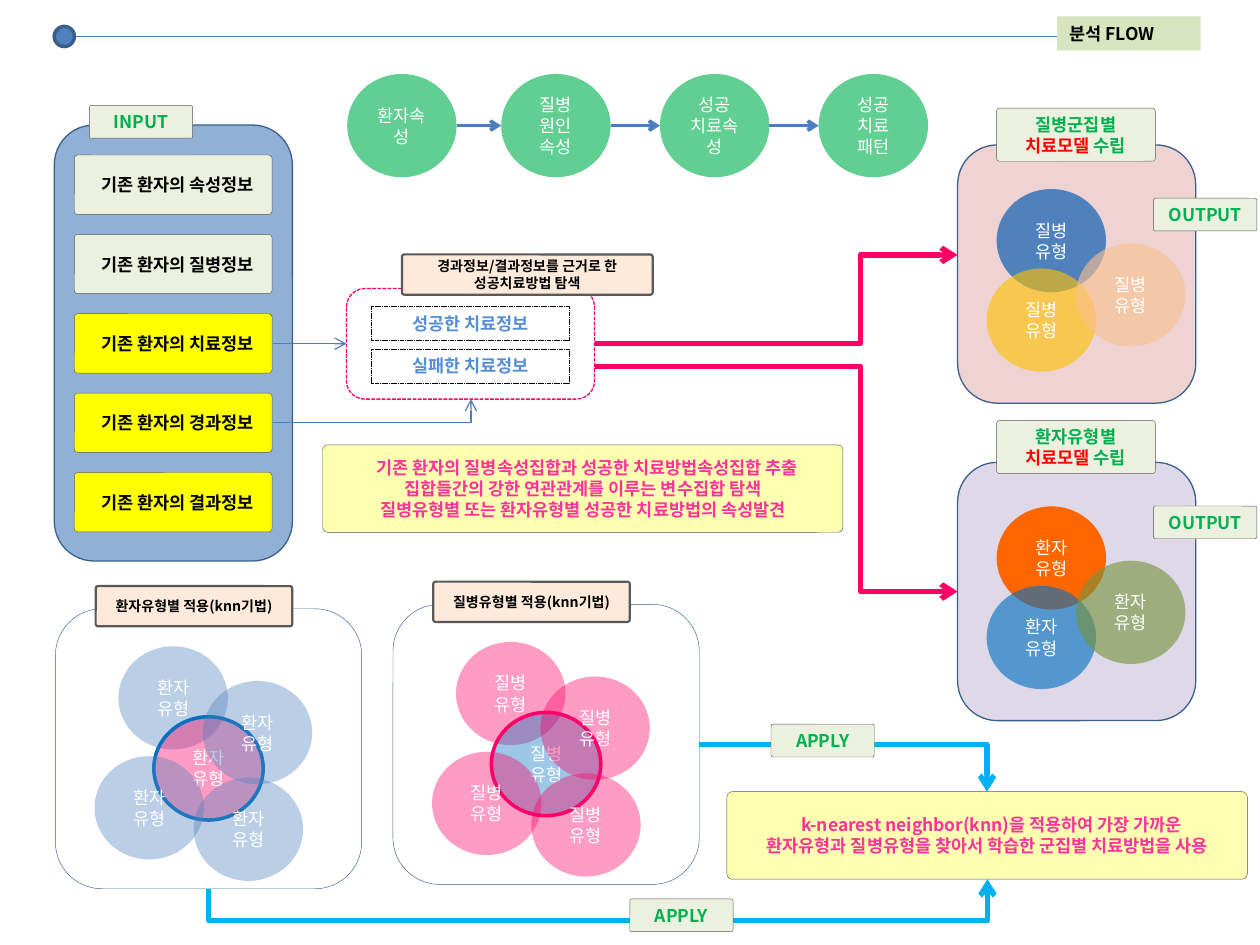
from dataclasses import dataclass, replace

from lxml import etree
from pptx import Presentation
from pptx.dml.color import RGBColor
from pptx.enum.dml import MSO_LINE
from pptx.enum.shapes import MSO_CONNECTOR, MSO_SHAPE
from pptx.enum.text import MSO_ANCHOR, PP_ALIGN
from pptx.oxml.ns import qn
from pptx.util import Pt

OVAL, RECT, ROUND = MSO_SHAPE.OVAL, MSO_SHAPE.RECTANGLE, MSO_SHAPE.ROUNDED_RECTANGLE
STRAIGHT, ELBOW = MSO_CONNECTOR.STRAIGHT, MSO_CONNECTOR.ELBOW
DASH = MSO_LINE.SQUARE_DOT
CENTER, LEFT, MIDDLE = PP_ALIGN.CENTER, PP_ALIGN.LEFT, MSO_ANCHOR.MIDDLE
FONT = "Noto Sans CJK KR"
COLORS = {
    "white": "FFFFFF", "black": "000000", "gray": "595959", "navy": "3A5F8C",
    "steel": "4F81BD", "connector": "4B7EBC", "olive": "D7E4BD", "pale": "EBF1DE",
    "yellow": "FFFF00", "green": "00B050", "sky": "558ED5", "rose": "FF0066",
    "peach": "FDEADA", "pink": "FF3399", "blush": "E6B9B8", "lilac": "CCC1DA",
    "gold": "FFC000", "apricot": "FAC090", "orange": "FF6600", "blue": "0070C0",
    "moss": "77933C", "cyan": "00B0F0", "red": "FF0000",
}


@dataclass(frozen=True)
class Style:
    """Look of a box and of its text."""
    form: int = ROUND
    fill: str = ""
    alpha: int = 100
    line: str = ""
    weight: float = 0.25
    dash: bool = False
    corner: float = 0.059
    color: str = "black"
    size: float = 10
    bold: bool = True
    wrap: bool = False
    align: int = CENTER
    first_indent: float = 0
    accent: str = ""


@dataclass(frozen=True)
class Arrow:
    """A connector; bend is the share of the run before the turn."""
    start: tuple[float, float]
    end: tuple[float, float]
    color: str = "connector"
    weight: float = 0.75
    kind: int = STRAIGHT
    preset: str = ""
    bend: float | None = None
    rotation: int = 0
    head: bool = True


PANEL = Style(line="navy", weight=0.75, corner=0.16667)
TAG = Style(fill="pale", line="gray", color="green")
MODEL = replace(TAG, accent="치료모델")
RECORD = Style(fill="pale", line="gray", first_indent=5)
TITLE = Style(fill="peach", line="gray", weight=1.25, size=8)
NOTE = Style(fill="yellow", alpha=30, line="gray", color="pink", first_indent=5)
CIRCLE = Style(form=OVAL, color="white", bold=False, wrap=True)
FINDING = Style(form=RECT, line="black", dash=True, color="sky", wrap=True)
TAG_SIZE, CIRCLE_SIZE = (59, 18.7), (62.5, 59)

deck = Presentation()
deck.slide_width, deck.slide_height = Pt(720), Pt(540)
slide = deck.slides.add_slide(deck.slide_layouts[6])


def rgb(name: str) -> RGBColor:
    """Look up a named colour."""
    return RGBColor.from_string(COLORS[name])


def write(frame, text: str, style: Style) -> None:
    """Fill a text frame and format its runs."""
    frame.word_wrap = style.wrap
    frame.vertical_anchor = MIDDLE
    frame.text = text
    for number, paragraph in enumerate(frame.paragraphs):
        paragraph.alignment = style.align
        if number == 0 and style.first_indent:
            paragraph._p.get_or_add_pPr().set("marL", str(Pt(style.first_indent)))
        if style.accent and paragraph.text.startswith(style.accent):
            rest = paragraph.text.removeprefix(style.accent)
            paragraph.text = style.accent
            paragraph.add_run().text = rest
        for run in paragraph.runs:
            font = run.font
            font.name, font.size, font.bold = FONT, Pt(style.size), style.bold
            font.color.rgb = rgb("red" if run.text == style.accent else style.color)
            etree.SubElement(font._element, qn("a:ea"), typeface=FONT)


def box(left: float, top: float, size: tuple[float, float], style: Style, text: str = "") -> None:
    """Draw one shape with its text."""
    shape = slide.shapes.add_shape(style.form, Pt(left), Pt(top), Pt(size[0]), Pt(size[1]))
    shape.shadow.inherit = False
    if style.form == ROUND:
        shape.adjustments[0] = style.corner
    if style.fill:
        shape.fill.solid()
        shape.fill.fore_color.rgb = rgb(style.fill)
        if style.alpha < 100:
            tint = shape._element.spPr.find(".//" + qn("a:srgbClr"))
            etree.SubElement(tint, qn("a:alpha"), val=str(style.alpha * 1000))
    else:
        shape.fill.background()
    if style.line:
        shape.line.color.rgb = rgb(style.line)
        shape.line.width = Pt(style.weight)
        if style.dash:
            shape.line.dash_style = DASH
    else:
        shape.line.fill.background()
    if text:
        write(shape.text_frame, text, style)


def connect(arrow: Arrow) -> None:
    """Draw a straight or bent connector."""
    link = slide.shapes.add_connector(arrow.kind, *map(Pt, arrow.start + arrow.end))
    link.line.color.rgb = rgb(arrow.color)
    link.line.width = Pt(arrow.weight)
    props = link._element.spPr
    geometry = props.find(qn("a:prstGeom"))
    if arrow.preset:
        geometry.set("prst", arrow.preset)
    if arrow.bend is not None:
        guides = geometry.find(qn("a:avLst"))
        etree.SubElement(guides, qn("a:gd"), name="adj1", fmla=f"val {round(arrow.bend * 100000)}")
    if arrow.rotation:
        props.find(qn("a:xfrm")).set("rot", str(arrow.rotation * 60000))
    if arrow.head:
        etree.SubElement(props.find(qn("a:ln")), qn("a:tailEnd"), type="arrow")
    etree.SubElement(props, qn("a:effectLst"))


def output_model(top: float, fill: str, label_top: float, group: str, circles: tuple) -> None:
    """Draw an output panel with three overlapping types."""
    left = 547.2
    box(left, top, (136.1, 147.6), replace(PANEL, fill=fill, alpha=62))
    spots = ((22.3, 25.2), (16.6, 70.6), (67.7, 56.2))
    for (dx, dy), (color, alpha) in zip(spots, circles):
        box(left + dx, top + dy, CIRCLE_SIZE, replace(CIRCLE, fill=color, alpha=alpha), f"{group}\n유형")
    heading = "질병군집별" if group == "질병" else "환자유형별"
    box(left + 22.3, label_top, (90.7, 30.4), MODEL, f"{heading}\n치료모델 수립")


def neighbors(left: float, top: float, group: str, around: str, center: str, ring: str) -> None:
    """Draw a knn panel: a ringed type among four neighbours."""
    outer = replace(CIRCLE, fill=around, alpha=39)
    inner = replace(CIRCLE, fill=center, alpha=39, line=ring, weight=2)
    box(left, top, (175, 160), replace(PANEL, weight=0.25))
    for dx, dy, style in ((36, 21.4, outer), (56.2, 61.7, inner), (84.2, 41.2, outer),
                          (22.3, 84.2, outer), (79, 96.5, outer)):
        box(left + dx, top + dy, CIRCLE_SIZE, style, f"{group}\n유형")
    box(left + 23, top - 13, (112.3, 23), TITLE, f"{group}유형별 적용(knn기법)")


connect(Arrow((31, 20.9), (620.6, 20.9), head=False))
box(31, 15.1, (11.5, 11.5), Style(form=OVAL, fill="steel", line="navy", weight=2))
box(604.1, 9.4, (82, 19.4), Style(form=RECT, fill="olive", align=LEFT, wrap=True), "분석 FLOW")

box(31, 71.5, (136.1, 249.1), replace(PANEL, fill="steel", alpha=62))
for row, item in enumerate(("속성", "질병", "치료", "경과", "결과")):
    box(42.5, 88.6 + row * 45.36, (113, 33.9),
        replace(RECORD, fill="pale" if row < 2 else "yellow"), f"기존 환자의 {item}정보")

box(198, 164.9, (141.8, 63.2), replace(PANEL, line="rose", dash=True))
for row, result in enumerate(("성공", "실패")):
    box(212.4, 175 + row * 24.4, (113, 19.4), FINDING, f"{result}한 치료정보")
box(229.7, 145.4, (143.3, 23), TITLE, "경과정보/결과정보를 근거로 한\n성공치료방법 탐색")
box(184.3, 254.2, (297.4, 50), NOTE,
    "기존 환자의 질병속성집합과 성공한 치료방법속성집합 추출\n"
    "집합들간의 강한 연관관계를 이루는 변수집합 탐색\n"
    "질병유형별 또는 환자유형별 성공한 치료방법의 속성발견")

output_model(82.8, "blush", 61.8, "질병", (("steel", 100), ("gold", 62), ("apricot", 62)))
output_model(264.2, "lilac", 240.3, "환자", (("orange", 100), ("blue", 62), ("moss", 62)))

steps = ((198.4, "환자속성"), (286.4, "질병\n원인\n속성"), (377.1, "성공\n치료속성"), (467.8, "성공\n치료\n패턴"))
for left, step in steps:
    box(left, 42.3, CIRCLE_SIZE, replace(CIRCLE, fill="green", alpha=62), step)
for (left, _), (following, _) in zip(steps, steps[1:]):
    connect(Arrow((left + CIRCLE_SIZE[0], 71.8), (following, 71.8), weight=2))

neighbors(31.7, 347.9, "환자", "steel", "rose", "blue")
neighbors(224.6, 345.4, "질병", "rose", "blue", "rose")
box(415.4, 452.4, (297.4, 50), NOTE,
    "k-nearest neighbor(knn)을 적용하여 가장 가까운\n"
    "환자유형과 질병유형을 찾아서 학습한 군집별 치료방법을 사용")

for arrow in (
    Arrow((156.2, 196.4), (198, 196.4)),
    Arrow((156.2, 241.7), (269.1, 228.2), kind=ELBOW, preset="bentConnector2"),
    Arrow((339.8, 196.4), (547.2, 145.7), "rose", 3, ELBOW, bend=0.732),
    Arrow((339.8, 209.4), (547.2, 338), "rose", 3, ELBOW, bend=0.732),
    Arrow((399.6, 425.4), (564, 452.4), "cyan", 3, ELBOW, "bentConnector2"),
    Arrow((344.6, 727.8), (338.9, 282.8), "cyan", 3, ELBOW, bend=-3.175, rotation=90),
):
    connect(arrow)

for left, top, tag in ((51.1, 60.3, "INPUT"), (659.2, 113.3, "OUTPUT"), (659.2, 289.2, "OUTPUT"),
                       (440.6, 413.9, "APPLY"), (359.9, 513.7, "APPLY")):
    box(left, top, TAG_SIZE, TAG, tag)

deck.save("out.pptx")
